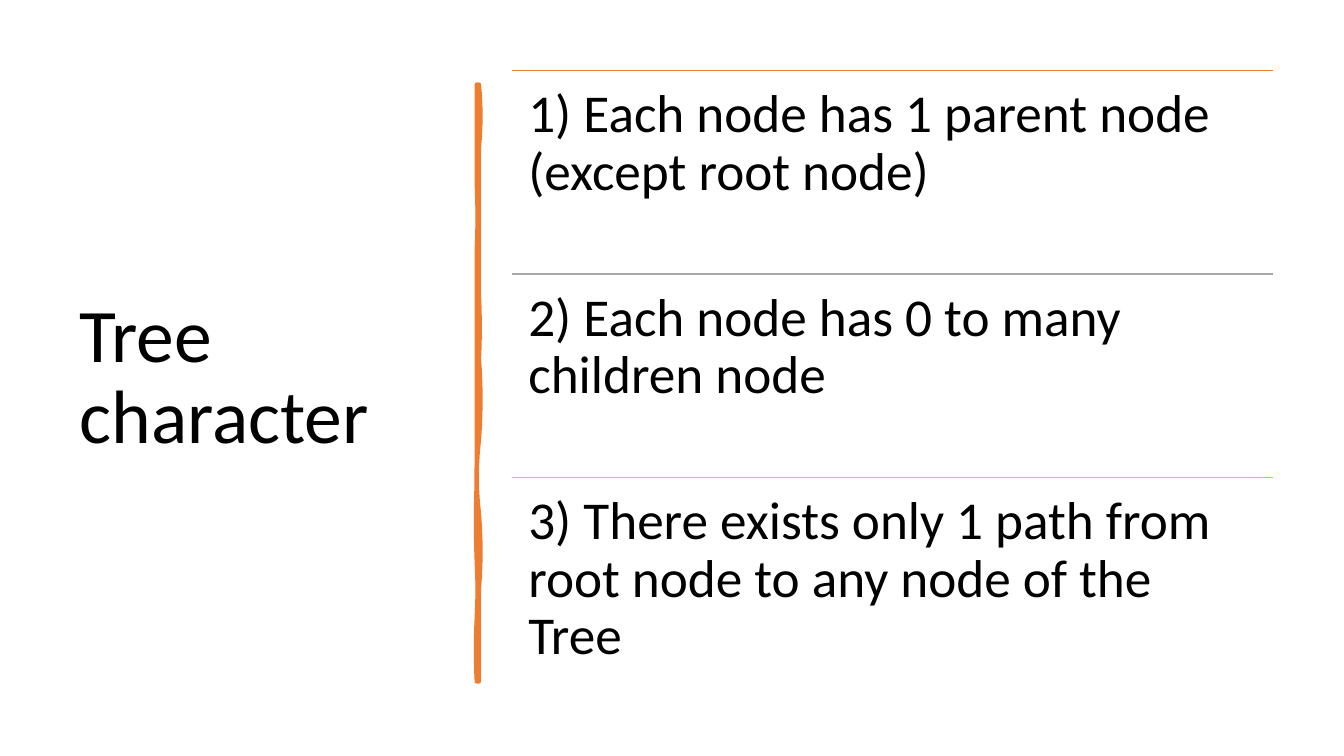
import dataclasses

import pptx
import pptx.dml.color
import pptx.enum.shapes
import pptx.enum.text
import pptx.oxml.ns
import pptx.util
from lxml import etree

Inches = pptx.util.Inches
Pt = pptx.util.Pt


@dataclasses.dataclass(frozen=True)
class Theme:
    font: str = "Calibri"
    text: str = "000000"
    brush: str = "ED7D31"
    rules: tuple = ("ED7D31", "A5A5A5", "FFC000")
    title_size: int = 54
    item_size: int = 38
    rule_width: float = 1
    brush_width: float = 3.25


THEME = Theme()

ITEMS = (
    "1) Each node has 1 parent node (except root node)",
    "2) Each node has 0 to many children node",
    "3) There exists only 1 path from root node to any node of the Tree",
)

BRUSH_RIGHT = (
    (0.62, 0.02), (1.42, 0), (2.1, 0), (2.72, 0.01), (3.52, 0.02),
    (4.26, -0.03), (5, 0.02), (5.92, 0),
)
BRUSH_LEFT = (
    (5.29, -0.01), (4.73, 0.01), (3.93, -0.01), (3.31, 0), (2.51, 0),
    (1.66, 0), (0.97, 0.01), (0, 0),
)


def color(value):
    return pptx.dml.color.RGBColor.from_string(value)


def add_text(slide, box, text, size, inset, anchor, space_after=0):
    shape = slide.shapes.add_textbox(*(Inches(length) for length in box))
    frame = shape.text_frame
    frame.word_wrap = True
    frame.vertical_anchor = anchor
    frame.margin_left = frame.margin_right = Inches(inset[0])
    frame.margin_top = frame.margin_bottom = Inches(inset[1])
    paragraph = frame.paragraphs[0]
    paragraph.text = text
    paragraph.line_spacing = 0.9
    paragraph.space_after = Pt(space_after)
    paragraph.font.name = THEME.font
    paragraph.font.size = Pt(size)
    paragraph.font.color.rgb = color(THEME.text)


def add_title(slide, box):
    add_text(slide, box, "Tree character", THEME.title_size, (0.1, 0.05),
             pptx.enum.text.MSO_ANCHOR.MIDDLE)


def edge_points(x, top, start, segments, steps=6):
    points = []
    for end, bulge in segments:
        for step in range(1, steps + 1):
            t = step / steps
            points.append((Inches(x + 3 * t * (1 - t) * bulge),
                           Inches(top + start + t * (end - start))))
        start = end
    return points


def add_brush_stroke(slide, box):
    left, top, width, height = box
    right = left + width
    builder = slide.shapes.build_freeform(Inches(right), Inches(top))
    points = edge_points(right, top, 0, BRUSH_RIGHT)
    points.append((Inches(left), Inches(top + height)))
    points += edge_points(left, top, height, BRUSH_LEFT)
    builder.add_line_segments(points, close=True)
    shape = builder.convert_to_shape()
    shape.shadow.inherit = False
    shape.fill.solid()
    shape.fill.fore_color.rgb = color(THEME.brush)
    shape.line.color.rgb = color(THEME.brush)
    shape.line.width = Pt(THEME.brush_width)


def add_rule(slide, left, top, width, rule_color):
    rule = slide.shapes.add_connector(
        pptx.enum.shapes.MSO_CONNECTOR.STRAIGHT,
        Inches(left), Inches(top), Inches(left + width), Inches(top))
    rule.line.color.rgb = color(rule_color)
    rule.line.width = Pt(THEME.rule_width)
    etree.SubElement(rule._element.spPr, pptx.oxml.ns.qn("a:effectLst"))


def add_item_list(slide, box):
    left, top, width, height = box
    row_height = height / len(ITEMS)
    for index, (item, rule_color) in enumerate(zip(ITEMS, THEME.rules)):
        row_top = top + index * row_height
        add_rule(slide, left, row_top, width, rule_color)
        add_text(slide, (left, row_top, width, row_height), item,
                 THEME.item_size, (0.16, 0.16),
                 pptx.enum.text.MSO_ANCHOR.TOP, space_after=13)


def main():
    presentation = pptx.Presentation()
    presentation.slide_width = Inches(13.33)
    presentation.slide_height = Inches(7.5)
    slide = presentation.slides.add_slide(presentation.slide_layouts[6])
    add_title(slide, (0.69, 0.7, 3.74, 6.11))
    add_brush_stroke(slide, (4.73, 0.84, 0.02, 5.92))
    add_item_list(slide, (5.08, 0.7, 7.55, 6.06))
    presentation.save("out.pptx")


if __name__ == "__main__":
    main()
